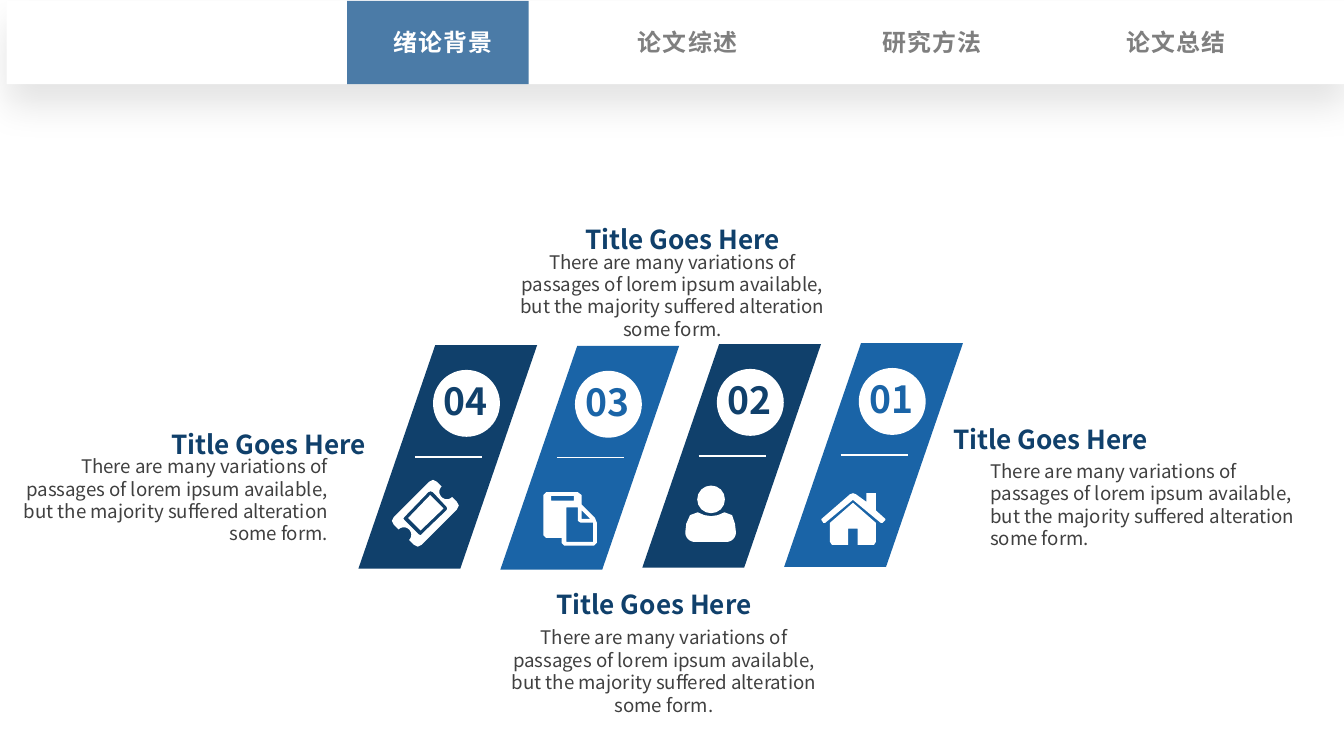
from math import cos, radians, sin

from lxml import etree
from pptx import Presentation
from pptx import util as u
from pptx.dml.color import RGBColor
from pptx.enum import shapes, text
from pptx.oxml.ns import qn

WIDTH, HEIGHT = u.Inches(14.06), u.Inches(7.91)
COL, ROW = WIDTH / 100, HEIGHT / 100
NAVY, BLUE, WHITE = "10406B", "1A64A7", "FFFFFF"
SANS = "Noto Sans CJK SC"
ALIGN = text.PP_ALIGN
TITLE = "Title Goes Here"
BODY = ("There are many variations of passages of lorem ipsum available, "
        "but the majority suffered alteration some form.")
NO_MARGINS = dict.fromkeys(
    ("margin_left", "margin_top", "margin_right", "margin_bottom"), 0)


def arc(cx, cy, radius, start, end, steps=16):
    """Return points along a circular arc, with angles in degrees."""
    angles = [radians(start + (end - start) * i / steps) for i in range(steps + 1)]
    return [(cx + radius * cos(a), cy + radius * sin(a)) for a in angles]


TICKET = [
    [(31, 68), (27, 70), (23, 68), *arc(12.5, 57.5, 7.8, 45, -135),
     (2, 47), (0, 43), (2, 39), (39, 2), (43, 0), (47, 2),
     *arc(57.5, 12.5, 7.8, 225, 45), (68, 23), (70, 27), (68, 31)],
    [(57, 32), (58, 30), (57, 28), (43, 13), (40.5, 12), (38, 13),
     (13, 39), (12, 40.5), (13, 42), (28, 57), (30, 58), (31, 57)],
    [(54, 30), (30, 53), (17, 40), (40, 16)],
]
DOCUMENT = [
    [(56, 53), (53, 56), (22, 56), (19, 53), (19, 48), (3, 48), (0, 45), (0, 3),
     (3, 0), (36, 0), (40, 3), (40, 13), (41, 14), (54, 27), (56, 32)],
    [(8, 4), (32, 4), (32, 9), (8, 9)],
    [(52, 52), (52, 32), (39, 32), (36, 30), (36, 16), (24, 16), (24, 52)],
    [(49, 28), (40, 19), (40, 28)],
]
PERSON = [
    arc(27, 14.5, 14.5, 0, 360),
    [*arc(10, 49, 10, 90, 180), (1, 40), (5, 31), (13, 28), (20, 31), (27, 32),
     (34, 31), (41, 28), (49, 31), (52, 40), *arc(43, 49, 10, 0, 90)],
]
HOUSE = [
    [(64, 31), (62, 31), (33, 7), (4, 31), (2, 31), (0, 28), (0, 27), (30, 1),
     (33, 0), (36, 1), (47, 9), (47, 0), (57, 0), (57, 18), (67, 27), (67, 28)],
    [(57, 51), (55, 54), (38, 54), (38, 37), (28, 37), (28, 54), (11, 54),
     (9, 51), (9, 31), (33, 10), (57, 31)],
]


def place(left, top, width, height):
    """Turn columns and rows into slide lengths."""
    return [round(n) for n in (left * COL, top * ROW, width * COL, height * ROW)]


def apply(target, formats):
    """Set every attribute named in a dict of formats."""
    for name, value in formats.items():
        setattr(target, name, value)


def paint(fill, color):
    """Give a fill one solid hex colour."""
    fill.solid()
    fill.fore_color.rgb = RGBColor.from_string(color)


def finish(shape, color):
    """Fill a shape and take away its line and shadow."""
    paint(shape.fill, color)
    shape.line.fill.background()
    shape.shadow.inherit = False
    return shape


def add_block(slide, kind, box, color):
    """Draw a plain preset shape in a grid box."""
    return finish(slide.shapes.add_shape(kind, *place(*box)), color)


def add_words(slide, box, words, color, font, frame=None, align=ALIGN.LEFT):
    """Write one paragraph in a grid box and return its run."""
    label = slide.shapes.add_textbox(*place(*box)).text_frame
    apply(label, {"word_wrap": False,
                  "auto_size": text.MSO_AUTO_SIZE.SHAPE_TO_FIT_TEXT, **(frame or {})})
    paragraph = label.paragraphs[0]
    paragraph.alignment = align
    run = paragraph.add_run()
    run.text = words
    apply(run.font, font)
    paint(run.font.fill, color)
    return run


def add_icon(slide, left, top, outlines):
    """Draw a white icon from outlines in hundredths of an inch."""
    first, *others = [[(x * 10, y * 10) for x, y in line] for line in outlines]
    builder = slide.shapes.build_freeform(*first[0], scale=u.Inches(1) / 1000)
    builder.add_line_segments(first[1:], close=True)
    for outline in others:
        builder.move_to(*outline[0])
        builder.add_line_segments(outline[1:], close=True)
    finish(builder.convert_to_shape(*place(left, top, 0, 0)[:2]), WHITE)


def add_panel(slide, box, number, color, icon, icon_left, icon_top):
    """Draw a slanted panel with its number, rule and icon."""
    left, top = box[:2]
    panel = add_block(slide, shapes.MSO_SHAPE.PARALLELOGRAM, box, color)
    panel.adjustments[0] = 0.43
    x, y, length, _ = place(left + 4.2, top + 14.8, 4.98, 0)
    rule = slide.shapes.add_connector(
        shapes.MSO_CONNECTOR.STRAIGHT, x, y, x + length, y)
    rule.line.width = u.Pt(1)
    paint(rule.line.fill, WHITE)
    etree.SubElement(rule._element.spPr, qn("a:effectLst"))
    add_block(slide, shapes.MSO_SHAPE.OVAL, (left + 5.55, top + 3.29, 4.98, 8.85), WHITE)
    add_words(slide, (left + 5.62, top + 3.79, 4.91, 7.21), number, color,
              {"size": u.Pt(28.1), "name": SANS, "bold": True})
    add_icon(slide, left + icon_left, top + icon_top, icon)


def add_caption(slide, title_at, title_align, body_at, body_align):
    """Write a heading and its paragraph."""
    add_words(slide, (*title_at, 15.22, 4.17), TITLE, NAVY,
              {"size": u.Pt(19.7), "name": SANS, "bold": True},
              {"vertical_anchor": text.MSO_ANCHOR.MIDDLE, **NO_MARGINS}, title_align)
    add_words(slide, (*body_at, 23.12, 12.01), BODY, "404040",
              {"size": u.Pt(14.1), "name": SANS},
              {"word_wrap": True, **NO_MARGINS}, body_align)


def add_navigation(slide, box, chapters):
    """Draw the shadowed top bar with its chapters, the first one active."""
    left, top, _, height = box
    bar = add_block(slide, shapes.MSO_SHAPE.RECTANGLE, box, WHITE)
    shadow = etree.SubElement(
        bar._element.spPr.find(qn("a:effectLst")), qn("a:outerShdw"),
        blurRad=str(u.Pt(28)), dist=str(u.Pt(15)), dir="5400000",
        algn="t", rotWithShape="0")
    black = etree.SubElement(shadow, qn("a:srgbClr"), val="000000")
    etree.SubElement(black, qn("a:alpha"), val="11000")
    tab = add_block(slide, shapes.MSO_SHAPE.RECTANGLE,
                    (left + 25.32, top, 13.51, height), "15548D")
    tint = tab._element.spPr.find(qn("a:solidFill"))[0]
    etree.SubElement(tint, qn("a:alpha"), val="77000")
    for i, chapter in enumerate(chapters):
        run = add_words(slide, (left + 27.74 + 18.18 * i, top + 2.9, 9.46, 5.06),
                        chapter, "7F7F7F" if i else WHITE,
                        {"size": u.Pt(18), "name": "Calibri", "bold": True},
                        align=ALIGN.CENTER)
        run.font._element.set("spc", "100")


def main():
    """Build the slide and save it."""
    deck = Presentation()
    apply(deck, {"slide_width": WIDTH, "slide_height": HEIGHT})
    slide = deck.slides.add_slide(deck.slide_layouts[6])
    for caption in (
        ((12.73, 56.64), ALIGN.LEFT, (1.28, 60.18), ALIGN.RIGHT),
        ((40.68, 77.88), ALIGN.RIGHT, (37.84, 82.81), ALIGN.CENTER),
        ((43.53, 29.58), ALIGN.LEFT, (38.48, 33.12), ALIGN.CENTER),
        ((70.2, 56.01), ALIGN.RIGHT, (73.68, 60.81), ALIGN.LEFT),
    ):
        add_caption(slide, *caption)
    for i, (top, *panel) in enumerate((
        (45.64, "04", NAVY, TICKET, 2.49, 17.83),
        (45.76, "03", BLUE, DOCUMENT, 3.2, 19.34),
        (45.51, "02", NAVY, PERSON, 3.2, 18.71),
        (45.39, "01", BLUE, HOUSE, 2.77, 19.85),
    )):
        add_panel(slide, (26.67 + 10.56 * i, top, 13.3, 29.58), *panel)
    add_navigation(slide, (0.5, 0.13, 99.5, 11),
                   ("绪论背景", "论文综述", "研究方法", "论文总结"))
    deck.save("out.pptx")


if __name__ == "__main__":
    main()
